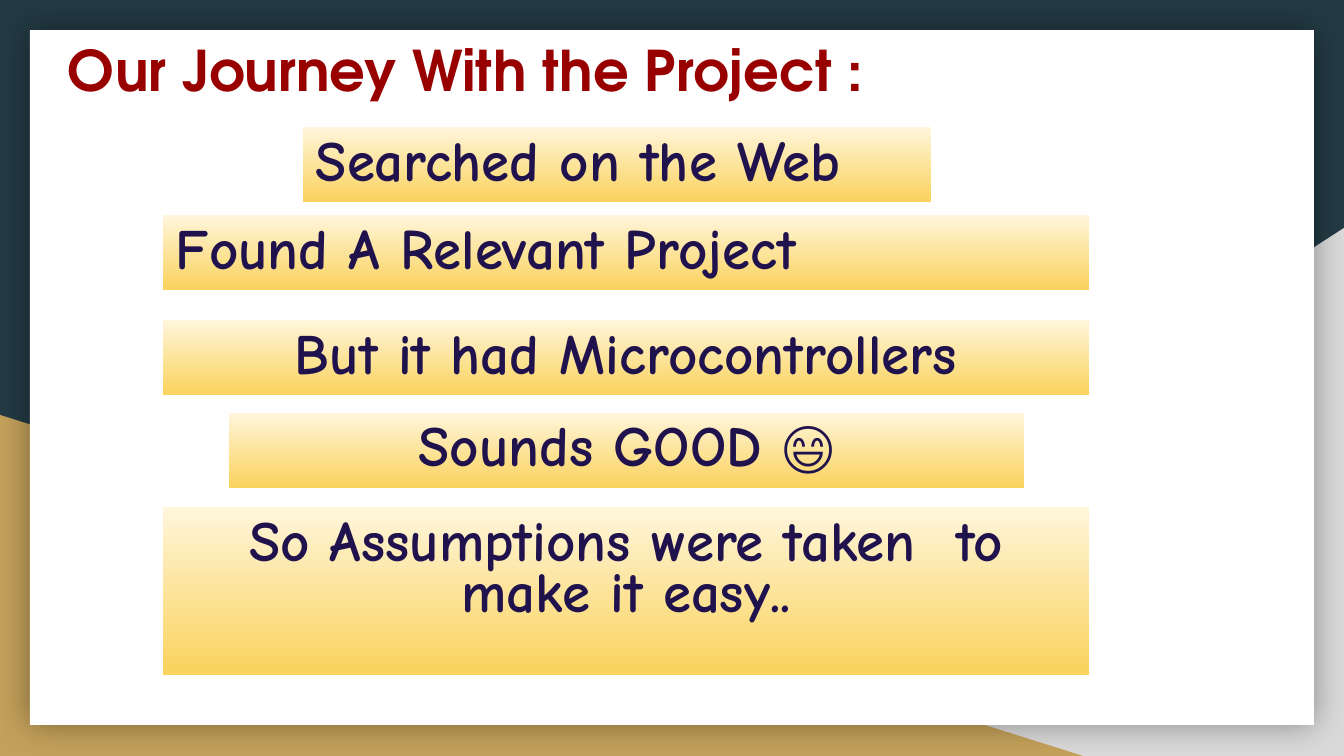
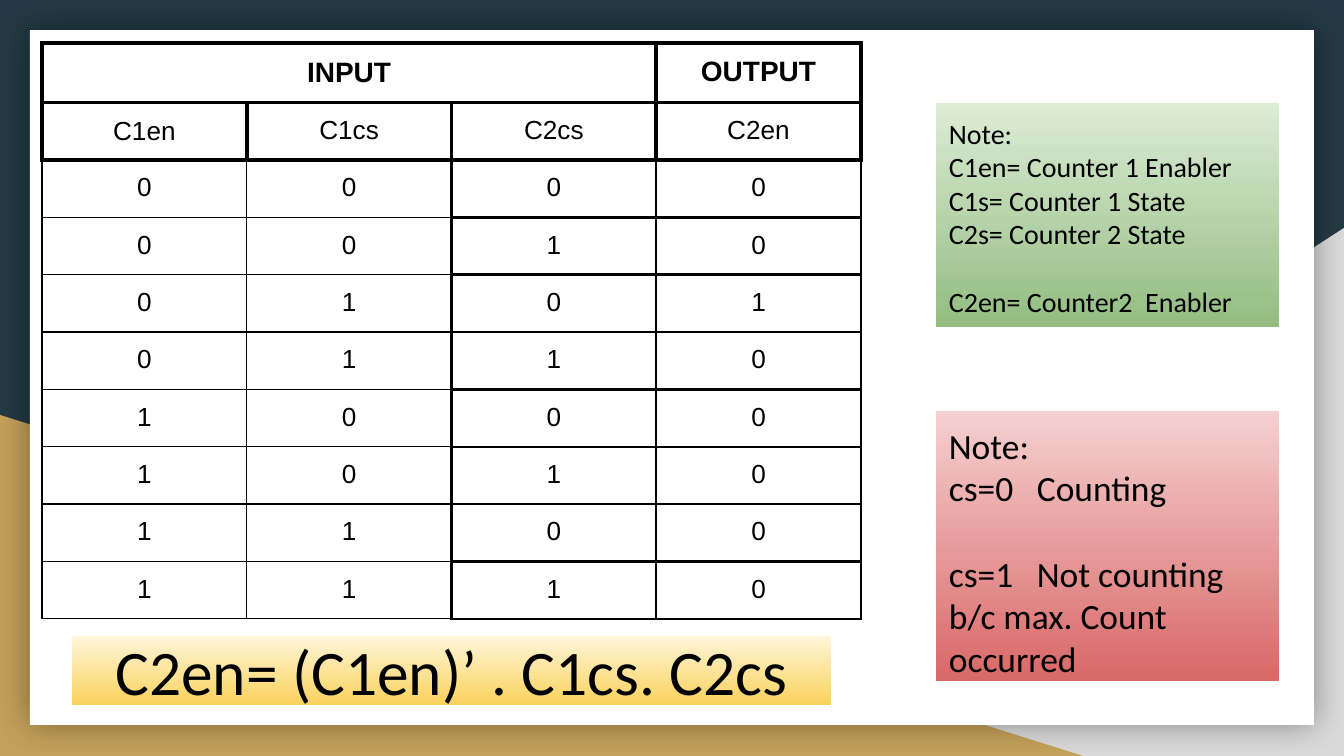
from dataclasses import dataclass
from itertools import product

from lxml.etree import SubElement
from pptx import Presentation
from pptx.dml.color import RGBColor
from pptx.enum.shapes import MSO_SHAPE as SHAPE
from pptx.enum.text import MSO_ANCHOR as ANCHOR, PP_ALIGN as ALIGN
from pptx.oxml.ns import qn
from pptx.util import Pt

PX = 914400 / 134.4
INSET = 13

NAVY, GREY, GOLD, WHITE, BLACK = "233A44", "D9D9D9", "C4A15A", "FFFFFF", "000000"
RED, INDIGO = "980000", "20124D"
YELLOW_FADE = ("FFF6DB", "FAD25C")
GREEN_FADE = ("DCECD5", "93BC81")
RED_FADE = ("F5D0D0", "D96868")

TITLE_FONT, STEP_FONT, NOTE_FONT, TABLE_FONT = (
    "TeX Gyre Adventor", "Comic Neue", "Calibri", "Arial")
THIN, MEDIUM, THICK = 0.75, 1.5, 2.25


@dataclass(frozen=True)
class Box:
    x: int
    y: int
    w: int
    h: int

    def emu(self):
        return [px(v) for v in (self.x, self.y, self.w, self.h)]


@dataclass(frozen=True)
class Step:
    text: str
    box: Box
    align: ALIGN = ALIGN.CENTER


@dataclass(frozen=True)
class Note:
    box: Box
    fade: tuple
    size: int
    lines: tuple
    gap_before: int  # index of the line set apart from those above it
    tab: int = 0


STEPS = (
    Step("Searched on the Web", Box(303, 127, 628, 75), ALIGN.LEFT),
    Step("Found A Relevant Project", Box(163, 215, 926, 75), ALIGN.LEFT),
    Step("But it had Microcontrollers", Box(163, 320, 926, 75)),
    Step("Sounds GOOD 😄", Box(229, 413, 795, 75)),
    Step("So Assumptions were taken  to make it easy..", Box(163, 507, 926, 168)),
)

NOTES = (
    Note(Box(936, 103, 343, 224), GREEN_FADE, 15,
         ("Note:", "C1en= Counter 1 Enabler", "C1s= Counter 1 State",
          "C2s= Counter 2 State", "C2en= Counter2  Enabler"), 4),
    Note(Box(936, 411, 343, 270), RED_FADE, 19,
         ("Note:", "cs=0\tCounting",
          "cs=1\tNot counting b/c max. Count occurred"), 2, tab=88),
)

SIGNALS = ("C1en", "C1cs", "C2cs", "C2en")


def px(n: float) -> int:
    return round(n * PX)


def color(hex_code: str) -> RGBColor:
    return RGBColor.from_string(hex_code)


def add_text(tf, *lines: str, font: str, size: float, fg: str = BLACK,
             bold: bool = False, align=ALIGN.LEFT, anchor=ANCHOR.TOP,
             spacing: float | None = None) -> list:
    """Fill a text frame, one paragraph a line, and return the paragraphs."""
    tf.word_wrap = True
    tf.vertical_anchor = anchor
    tf.margin_left = tf.margin_right = tf.margin_top = tf.margin_bottom = px(INSET)
    for i, line in enumerate(lines):
        p = tf.add_paragraph() if i else tf.paragraphs[0]
        p.alignment = align
        if spacing:
            p.line_spacing = spacing
        r = p.add_run()
        r.text = line
        r.font.name, r.font.size, r.font.bold = font, Pt(size), bold
        r.font.color.rgb = color(fg)
    return list(tf.paragraphs)


def add_block(s, box: Box, fill: str | tuple, kind=SHAPE.RECTANGLE):
    """Add an unlined shape; a pair of colours fades from top to bottom."""
    sp = s.shapes.add_shape(kind, *box.emu())
    sp.shadow.inherit = False
    sp.line.fill.background()
    if isinstance(fill, str):
        sp.fill.solid()
        sp.fill.fore_color.rgb = color(fill)
    else:
        sp.fill.gradient()
        sp.fill.gradient_angle = 270
        for stop, position, shade in zip(sp.fill.gradient_stops, (0, 1), fill):
            stop.position = position
            stop.color.rgb = color(shade)
    return sp


def add_glow(sp, blur: float, alpha: int) -> None:
    """Give a shape a soft black shadow on all sides."""
    effects = sp._element.spPr.find(qn("a:effectLst"))
    shadow = SubElement(effects, qn("a:outerShdw"), blurRad=str(Pt(blur)),
                        dist="0", dir="0", algn="ctr", rotWithShape="0")
    tint = SubElement(shadow, qn("a:srgbClr"), val=BLACK)
    SubElement(tint, qn("a:alpha"), val=str(alpha * 1000))


def add_page(prs):
    """Add a slide with the shared backdrop and white sheet."""
    s = prs.slides.add_slide(prs.slide_layouts[6])
    s.background.fill.solid()
    s.background.fill.fore_color.rgb = color(NAVY)
    right = add_block(s, Box(527, 228, 817, 528), GREY, SHAPE.RIGHT_TRIANGLE)
    right._element.spPr.get_or_add_xfrm().set("flipH", "1")
    add_block(s, Box(0, 415, 1083, 341), GOLD, SHAPE.RIGHT_TRIANGLE)
    add_glow(add_block(s, Box(30, 30, 1284, 695), WHITE), blur=18, alpha=40)
    return s


def add_note(s, note: Note) -> None:
    tf = add_block(s, note.box, note.fade).text_frame
    ps = add_text(tf, *note.lines, font=NOTE_FONT, size=note.size)
    ps[note.gap_before].space_before = Pt(round(note.size * 1.22))
    if note.tab:
        for p in ps:
            tabs = SubElement(p._p.get_or_add_pPr(), qn("a:tabLst"))
            SubElement(tabs, qn("a:tab"), pos=str(px(note.tab)), algn="l")


def border_widths(row: int, col: int) -> dict[str, float]:
    """Heads are thick, the first two columns thin, the rest medium."""
    if row < 2:
        return dict.fromkeys("LRTB", THICK)
    widths = dict.fromkeys("LRTB", THIN if col < 2 else MEDIUM)
    if col == 1:
        widths["R"] = MEDIUM
    if row == 2:
        widths["T"] = THICK
    return widths


def set_borders(cell, widths: dict[str, float]) -> None:
    tc_pr = cell._tc.get_or_add_tcPr()
    for side, width in widths.items():
        ln = SubElement(tc_pr, qn(f"a:ln{side}"), w=str(Pt(width)))
        SubElement(SubElement(ln, qn("a:solidFill")), qn("a:srgbClr"), val=BLACK)


def add_truth_table(s) -> None:
    inputs = list(product((0, 1), repeat=3))
    rows = [("INPUT", "", "", "OUTPUT"), SIGNALS]
    rows += [(a, b, c, int(not a and b and not c)) for a, b, c in inputs]
    box = Box(42, 43, 819, 545)
    table = s.shapes.add_table(len(rows), len(SIGNALS), *box.emu()).table
    table.first_row = table.horz_banding = False
    for i, values in enumerate(rows):
        table.rows[i].height = px(54 if i < 5 else 55)
        for j, value in enumerate(values):
            cell = table.cell(i, j)
            set_borders(cell, border_widths(i, j))
            cell.fill.background()
            cell.margin_left = cell.margin_right = px(INSET)
            cell.margin_top = cell.margin_bottom = px(INSET)
            cell.vertical_anchor = ANCHOR.MIDDLE if j == 0 and i < 2 else ANCHOR.TOP
            if value != "":
                add_cell_text(cell, str(value), heading=i == 0)
    table.cell(0, 0).merge(table.cell(0, 2))


def add_cell_text(cell, text: str, heading: bool) -> None:
    p = cell.text_frame.paragraphs[0]
    p.alignment = ALIGN.CENTER
    r = p.add_run()
    r.text = text
    r.font.name, r.font.size, r.font.bold = TABLE_FONT, Pt(15 if heading else 14), heading
    r.font.color.rgb = color(BLACK)


def build_journey(prs) -> None:
    s = add_page(prs)
    title = s.shapes.add_textbox(*Box(55, 23, 1103, 140).emu())
    add_text(title.text_frame, "Our Journey With the Project :",
             font=TITLE_FONT, size=30, fg=RED, bold=True)
    for step in STEPS:
        add_text(add_block(s, step.box, YELLOW_FADE).text_frame, step.text,
                 font=STEP_FONT, size=30.5, fg=INDIGO, bold=True,
                 align=step.align, spacing=0.75)


def build_logic(prs) -> None:
    s = add_page(prs)
    add_truth_table(s)
    formula = add_block(s, Box(72, 636, 759, 69), YELLOW_FADE)
    add_text(formula.text_frame, "C2en= (C1en)’ . C1cs. C2cs", font=NOTE_FONT,
             size=34, align=ALIGN.CENTER, anchor=ANCHOR.MIDDLE)
    for note in NOTES:
        add_note(s, note)


def main() -> None:
    prs = Presentation()
    prs.slide_width, prs.slide_height = px(1344), px(756)
    build_journey(prs)
    build_logic(prs)
    prs.save("out.pptx")


if __name__ == "__main__":
    main()
